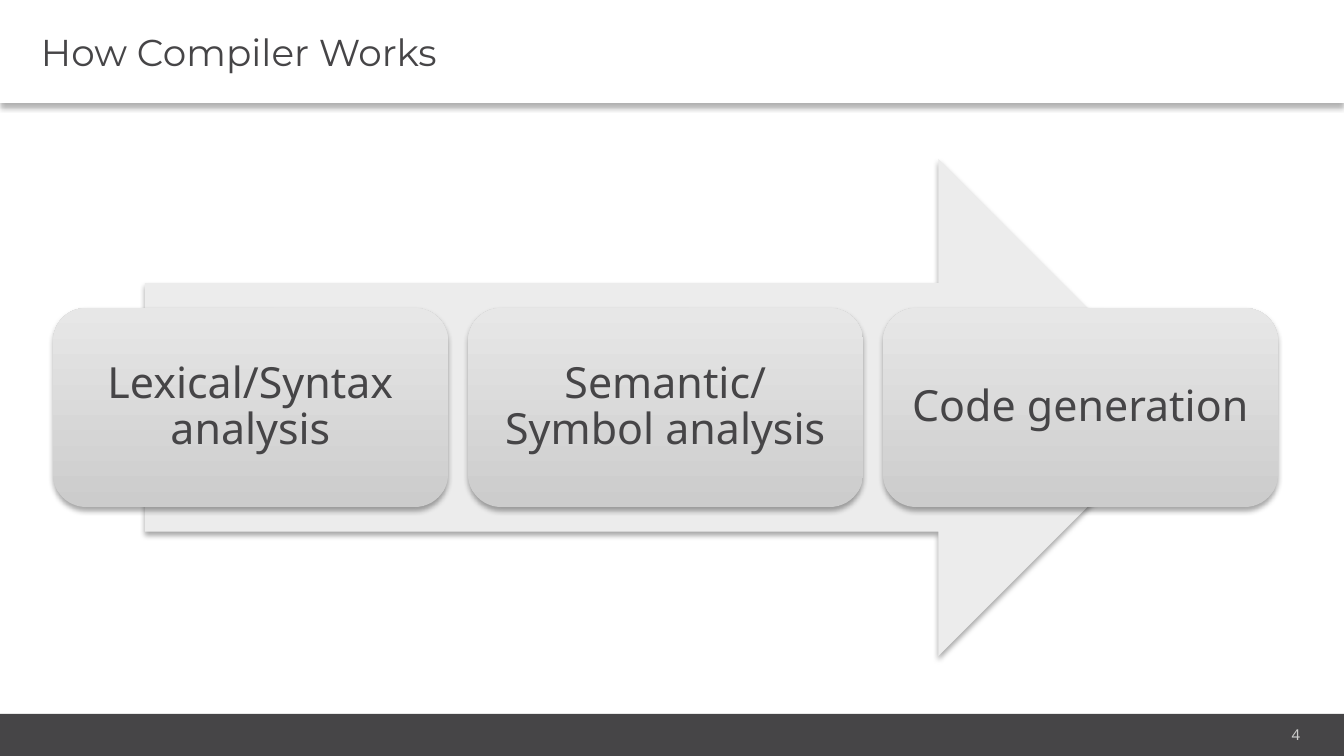
from lxml import etree
from pptx import Presentation
from pptx.dml.color import RGBColor
from pptx.enum.shapes import MSO_SHAPE
from pptx.enum.text import MSO_ANCHOR, PP_ALIGN
from pptx.oxml.ns import qn
from pptx.util import Emu, Pt

RECTANGLE = MSO_SHAPE.RECTANGLE
ROUNDED = MSO_SHAPE.ROUNDED_RECTANGLE
ARROW = MSO_SHAPE.RIGHT_ARROW
MIDDLE = MSO_ANCHOR.MIDDLE
LEFT, CENTER, RIGHT = PP_ALIGN.LEFT, PP_ALIGN.CENTER, PP_ALIGN.RIGHT
PIXEL = 914400 / 134.4
DARK = "464547"

presentation = Presentation()
presentation.slide_width = Emu(round(1344 * PIXEL))
presentation.slide_height = Emu(round(756 * PIXEL))
slide = presentation.slides.add_slide(presentation.slide_layouts[6])


def add_block(kind, box, fill, shadow=None):
    """Add a borderless shape; shadow is (opacity %, distance in points)."""
    shape = slide.shapes.add_shape(kind, *(Emu(round(v * PIXEL)) for v in box))
    shape.line.fill.background()
    shape.shadow.inherit = False
    if isinstance(fill, str):
        shape.fill.solid()
        shape.fill.fore_color.rgb = RGBColor.from_string(fill)
    else:
        shape.fill.gradient()
        shape.fill.gradient_angle = 90
        for stop, color in zip(shape.fill.gradient_stops, fill):
            stop.color.rgb = RGBColor.from_string(color)
    if shadow:
        opacity, distance = shadow
        effects = shape._element.spPr.find(qn("a:effectLst"))
        outer = etree.SubElement(effects, qn("a:outerShdw"), blurRad=str(Pt(3.1)),
                                 dist=str(Pt(distance)), dir="5400000", rotWithShape="0")
        color = etree.SubElement(outer, qn("a:srgbClr"), val="000000")
        etree.SubElement(color, qn("a:alpha"), val=str(opacity * 1000))
    return shape


def set_text(shape, text, font, size, color, align, margins):
    """Write one vertically centred paragraph; margins are in pixels."""
    frame = shape.text_frame
    frame.word_wrap = True
    frame.vertical_anchor = MIDDLE
    (frame.margin_left, frame.margin_top,
     frame.margin_right, frame.margin_bottom) = (Emu(round(m * PIXEL)) for m in margins)
    paragraph = frame.paragraphs[0]
    paragraph.text = text
    paragraph.alignment = align
    paragraph.font.name = font
    paragraph.font.size = Pt(size)
    paragraph.font.color.rgb = RGBColor.from_string(color)
    return paragraph


# Footer bar and slide number
add_block(RECTANGLE, (0, 714, 1345, 44), DARK)
number_box = slide.shapes.add_textbox(*(Emu(round(v * PIXEL)) for v in (1091, 720, 219, 29)))
set_text(number_box, "4", "Noto Sans", 8, "CCCCCC", RIGHT, (10, 5, 10, 5))

# Process arrow
add_block(ARROW, (145, 159, 1042, 497), "ECECEC", (35, 1.8))

# Compiler stages
STAGE_LEFT, STAGE_WIDTH, STAGE_STEP = 53, 395, 415
stages = ["Lexical/Syntax analysis", "Semantic/Symbol analysis", "Code generation"]
for index, name in enumerate(stages):
    stage = add_block(ROUNDED, (STAGE_LEFT + index * STAGE_STEP, 308, STAGE_WIDTH, 199),
                      ("CCCCCC", "E7E7E7"), (35, 1.8))
    paragraph = set_text(stage, name, "Noto Sans", 23, DARK, CENTER, (13, 13, 13, 13))
    paragraph.line_spacing = 0.9

# Title band
title = add_block(RECTANGLE, (0, 0, 1344, 103), "FFFFFF", (30, 2))
set_text(title, "How Compiler Works", "Montserrat", 20, DARK, LEFT, (41, 5, 10, 5))

presentation.save("out.pptx")
